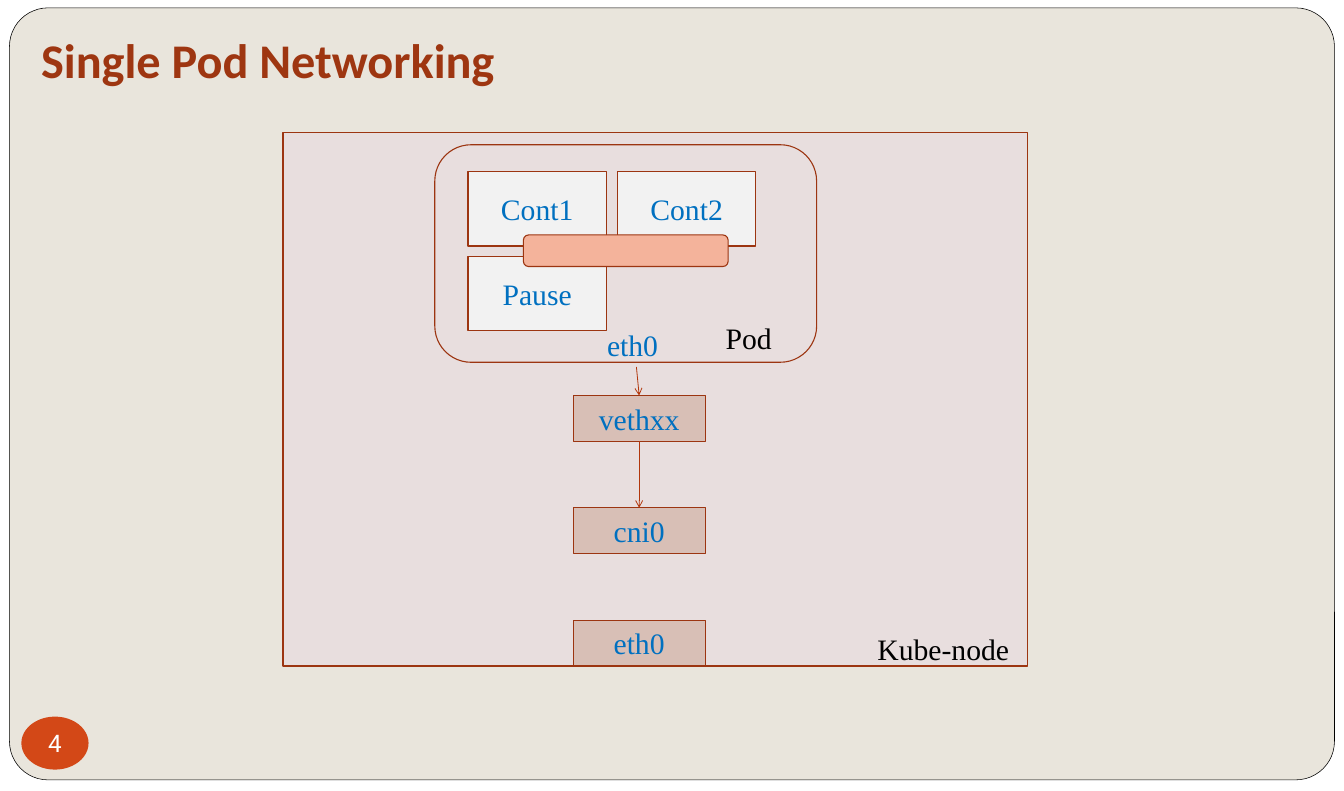
from lxml.etree import SubElement
from pptx import Presentation
from pptx.dml.color import RGBColor
from pptx.enum.shapes import MSO_CONNECTOR, MSO_SHAPE
from pptx.enum.text import MSO_ANCHOR, MSO_AUTO_SIZE, PP_ALIGN
from pptx.oxml.ns import qn
from pptx.util import Emu, Pt

EMU_PER_PX = 9144
SERIF = "Times New Roman"
BLUE, BLACK, WHITE = "0070C0", "000000", "FFFFFF"
RUST, SAND = "9C3511", "E9E5DC"


def px(length):
    return Emu(length * EMU_PER_PX)


def color(value):
    return RGBColor.from_string(value)


def inside(box, left, top, width, height):
    return box[0] + left, box[1] + top, width, height


def write(shape, text, size, font, ink, align=PP_ALIGN.LEFT, anchor=MSO_ANCHOR.TOP,
          bold=False, wrap=True):
    frame = shape.text_frame
    frame.auto_size = MSO_AUTO_SIZE.NONE
    frame.word_wrap = wrap
    frame.vertical_anchor = anchor
    para = frame.paragraphs[0]
    para.alignment = align
    span = para.add_run()
    span.text = text
    span.font.size = Pt(size)
    span.font.name = font
    span.font.bold = bold
    span.font.color.rgb = color(ink)


def add_block(parent, kind, box, fill=None, line=None, width=1):
    shape = parent.shapes.add_shape(kind, *map(px, box))
    shape.shadow.inherit = False
    if fill:
        shape.fill.solid()
        shape.fill.fore_color.rgb = color(fill)
    else:
        shape.fill.background()
    if line:
        shape.line.color.rgb = color(line)
        shape.line.width = Pt(width)
    else:
        shape.line.fill.background()
    return shape


def add_named_block(parent, box, name, fill):
    block = add_block(parent, MSO_SHAPE.RECTANGLE, box, fill, RUST)
    write(block, name, 27, SERIF, BLUE, PP_ALIGN.CENTER, MSO_ANCHOR.MIDDLE)
    return block


def add_label(parent, box, text, ink=BLACK):
    label = parent.shapes.add_textbox(*map(px, box))
    write(label, text, 27, SERIF, ink, wrap=False)


def add_arrow(parent, start, end):
    arrow = parent.shapes.add_connector(MSO_CONNECTOR.STRAIGHT, *map(px, start + end))
    arrow.line.color.rgb = color("B1360B")
    arrow.line.width = Pt(0.75)
    SubElement(arrow.line._get_or_add_ln(), qn("a:tailEnd"), type="arrow")
    SubElement(arrow._element.spPr, qn("a:effectLst"))
    return arrow


def add_frame(page, box):
    page.background.fill.solid()
    page.background.fill.fore_color.rgb = color(WHITE)
    panel = add_block(page, MSO_SHAPE.ROUNDED_RECTANGLE,
                      inside(box, 12, 10, 1676, 976), SAND, BLACK, 0.5)
    panel.adjustments[0] = 0.05
    badge = add_block(page, MSO_SHAPE.OVAL, inside(box, 27, 906, 85, 67), "D34817")
    write(badge, "4", 22, "Roboto", WHITE, PP_ALIGN.CENTER, MSO_ANCHOR.MIDDLE, wrap=False)
    frame = badge.text_frame
    frame.margin_left = frame.margin_right = frame.margin_top = frame.margin_bottom = 0


def add_title(page, box):
    title = page.shapes.title
    title.left, title.top, title.width, title.height = map(px, box)
    write(title, "Single Pod Networking", 44, "Calibri", "9E3611", bold=True, wrap=False)


def add_pod(parent, box):
    add_block(parent, MSO_SHAPE.ROUNDED_RECTANGLE, box, line=RUST)
    for index, name in enumerate(("Cont1", "Cont2", "Pause")):
        row, column = divmod(index, 2)
        cell = inside(box, 42 + 189 * column, 34 + 107 * row, 175, 94)
        add_named_block(parent, cell, name, "F2F2F2")
    add_block(parent, MSO_SHAPE.ROUNDED_RECTANGLE, inside(box, 112, 114, 259, 40),
              "F4B39B", RUST)
    add_label(parent, inside(box, 358, 217, 88, 56), "Pod")
    add_label(parent, inside(box, 208, 225, 100, 56), "eth0", BLUE)


def add_interfaces(parent, box):
    pitch = 142
    veth, bridge, _ = [
        add_named_block(parent, inside(box, 0, pitch * row, 167, 58), name, "D8BFB6")
        for row, name in enumerate(("vethxx", "cni0", "eth0"))
    ]
    left, top = box[:2]
    from_pod = add_arrow(parent, (left + 80, top - 36), (left + 83, top))
    from_pod.end_connect(veth, 0)
    to_bridge = add_arrow(parent, (left + 83, top + 58), (left + 83, top + pitch))
    to_bridge.begin_connect(veth, 2)
    to_bridge.end_connect(bridge, 0)


def add_node(page, box):
    node = page.shapes.add_group_shape()
    add_block(node, MSO_SHAPE.RECTANGLE, box, "E8DEDE", RUST)
    add_label(node, inside(box, 742, 625, 242, 56), "Kube-node")
    add_pod(node, inside(box, 192, 16, 483, 275))
    add_interfaces(node, inside(box, 367, 333, 167, 342))


def main():
    deck = Presentation()
    deck.slide_width, deck.slide_height = px(1700), px(1000)
    page = deck.slides.add_slide(deck.slide_layouts[5])
    add_frame(page, (0, 0, 1700, 1000))
    add_title(page, (42, 33, 630, 84))
    page.shapes._spTree.append(page.shapes.title._element)
    add_node(page, (358, 167, 942, 675))
    deck.save("out.pptx")


if __name__ == "__main__":
    main()
